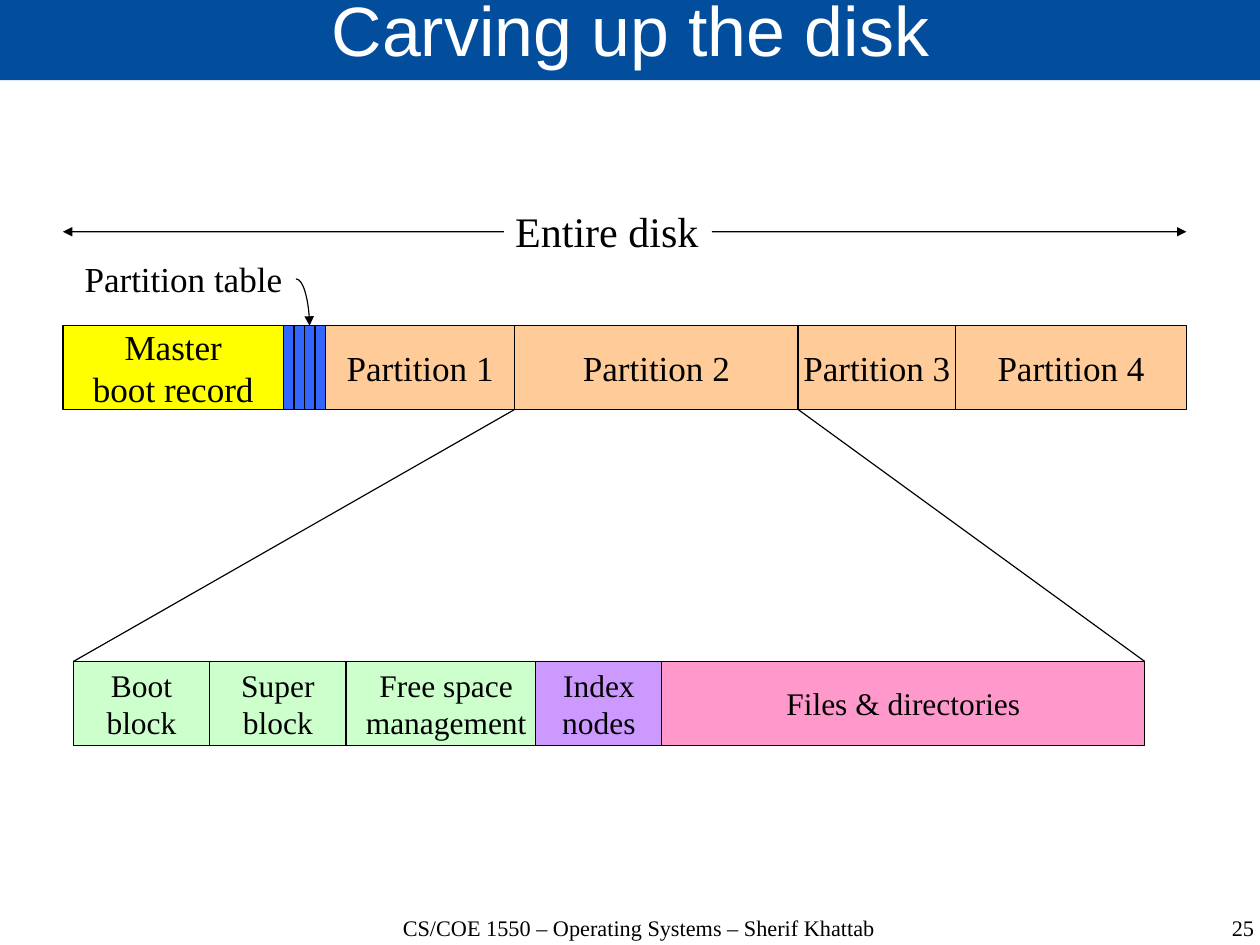
from itertools import accumulate

from lxml.etree import SubElement
from pptx import Presentation
from pptx.dml.color import RGBColor
from pptx.enum.shapes import MSO_CONNECTOR as Link, MSO_SHAPE as Shape
from pptx.enum.text import MSO_ANCHOR as Anchor, MSO_AUTO_SIZE as Fit, PP_ALIGN as Align
from pptx.oxml.ns import qn
from pptx.util import Cm, Pt

# Content: (text, fill, width in cm)
COLORS = {"title": "024E9D", "white": "FFFFFF", "black": "000000",
          "boot": "FFFF00", "table": "3366FF", "partition": "FFCC99",
          "meta": "CCFFCC", "index": "CC99FF", "files": "FF99CC"}
DISK = [("Master\nboot record", "boot", 4.9),
        *[("", "table", 0.234)] * 4,
        ("Partition 1", "partition", 4.2),
        ("Partition 2", "partition", 6.3),
        ("Partition 3", "partition", 3.5),
        ("Partition 4", "partition", 5.13)]
FILE_SYSTEM = [("Boot\nblock", "meta", 3.03),
               ("Super\nblock", "meta", 3.03),
               ("Free space\nmanagement", "meta", 4.22),
               ("Index\nnodes", "index", 2.8),
               ("Files & directories", "files", 10.73)]
OVERHANG = {"Free space\nmanagement": 0.23}  # part lying under the next block
FOOTERS = [("CS/COE 1550 – Operating Systems – Sherif Khattab", 7.8, 12.8, Align.CENTER),
           ("25", 21.44, 6.43, Align.RIGHT)]

# Layout in cm
DISK_LEFT, DISK_TOP = 1.4, 7.24
SYSTEM_LEFT, SYSTEM_TOP = 1.63, 14.7
ROW_HEIGHT = 1.86
ENTIRE = (11.2, 4.45, 4.62, 1.4)
PARTITION_TABLE = (1.63, 5.59, 4.93, 1.19)
FOOTER_TOP, FOOTER_HEIGHT = 20.35, 1.4

SERIF = "Times New Roman"
NO_MARGIN = dict.fromkeys(("margin_left", "margin_right", "margin_top", "margin_bottom"), 0)
LABEL = {"word_wrap": False, "auto_size": Fit.SHAPE_TO_FIT_TEXT}
BLOCK = {"word_wrap": False, "vertical_anchor": Anchor.MIDDLE}

deck = Presentation()
deck.slide_width, deck.slide_height = Cm(28), Cm(21)
page = deck.slides.add_slide(deck.slide_layouts[6])


def rgb(name):
    return RGBColor.from_string(COLORS[name])


def apply(target, values):
    for name, value in values.items():
        setattr(target, name, value)


def write(box, text, size, frame_format, para_format, font=SERIF, color="black"):
    apply(box.text_frame, frame_format)
    para = box.text_frame.paragraphs[0]
    para.text = text.replace("\n", "\v")
    apply(para, para_format)
    for span in para.runs:
        apply(span.font, {"name": font, "size": Pt(size)})
        span.font.color.rgb = rgb(color)


def add_box(place, fill, outlined=True):
    box = page.shapes.add_shape(Shape.RECTANGLE, *map(Cm, place))
    box.shadow.inherit = False
    box.fill.solid()
    box.fill.fore_color.rgb = rgb(fill)
    if outlined:
        box.line.color.rgb = rgb("black")
        box.line.width = Pt(0.75)
    else:
        box.line.fill.background()
    return box


def add_label(text, place, size, frame_format, para_format):
    box = page.shapes.add_textbox(*map(Cm, place))
    write(box, text, size, frame_format, para_format)
    return box


def add_row(blocks, left, top, size):
    """Place blocks side by side and return their edges."""
    edges = list(accumulate((width for _, _, width in blocks), initial=left))
    for (text, fill, width), x in zip(blocks, edges):
        box = add_box((x, top, width + OVERHANG.get(text, 0), ROW_HEIGHT), fill)
        if text:
            write(box, text, size, BLOCK, {"alignment": Align.CENTER})
    return edges


def add_line(start, end, arrow=False, kind=Link.STRAIGHT):
    line = page.shapes.add_connector(kind, *map(Cm, (*start, *end)))
    line.line.color.rgb = rgb("black")
    line.line.width = Pt(0.75)
    properties = line.element.spPr
    if arrow:
        SubElement(properties.find(qn("a:ln")), qn("a:tailEnd"), type="triangle")
    SubElement(properties, qn("a:effectLst"))
    return line


# Title bar and footers
title = add_box((0, -0.05, 28.04, 1.83), "title", outlined=False)
write(title, "Carving up the disk", 44, {**NO_MARGIN, "word_wrap": True, "vertical_anchor": Anchor.MIDDLE},
      {"alignment": Align.CENTER, "line_spacing": 0.69}, "Arial", "white")
for text, left, width, alignment in FOOTERS:
    add_label(text, (left, FOOTER_TOP, width, FOOTER_HEIGHT), 14, {**NO_MARGIN, "word_wrap": True},
              {"alignment": alignment, "line_spacing": 0.96})

# The two rows of blocks
disk_edges = add_row(DISK, DISK_LEFT, DISK_TOP, 22.1)
system_edges = add_row(FILE_SYSTEM, SYSTEM_LEFT, SYSTEM_TOP, 19.8)

# Width of the entire disk
entire = add_label("Entire disk", ENTIRE, 26.5, LABEL, {"alignment": Align.LEFT})
left, top, width, height = ENTIRE
middle = top + height / 2
for side, start, end in ((1, left, disk_edges[0]), (3, left + width, disk_edges[-1])):
    add_line((start, middle), (end, middle), arrow=True).begin_connect(entire, side)

# Pointer to the partition table
add_label("Partition table", PARTITION_TABLE, 22.1, LABEL, {"alignment": Align.LEFT})
pointer = add_line((6.58, 6.2), (6.88, DISK_TOP), arrow=True, kind=Link.CURVE)
pointer.element.spPr.find(qn("a:prstGeom")).set("prst", "curvedConnector2")

# Zoom from partition 2 to its file system
zoomed = [text for text, _, _ in DISK].index("Partition 2")
for upper, lower in ((disk_edges[zoomed], system_edges[0]),
                     (disk_edges[zoomed + 1], system_edges[-1])):
    add_line((upper, DISK_TOP + ROW_HEIGHT), (lower, SYSTEM_TOP))

deck.save("out.pptx")
